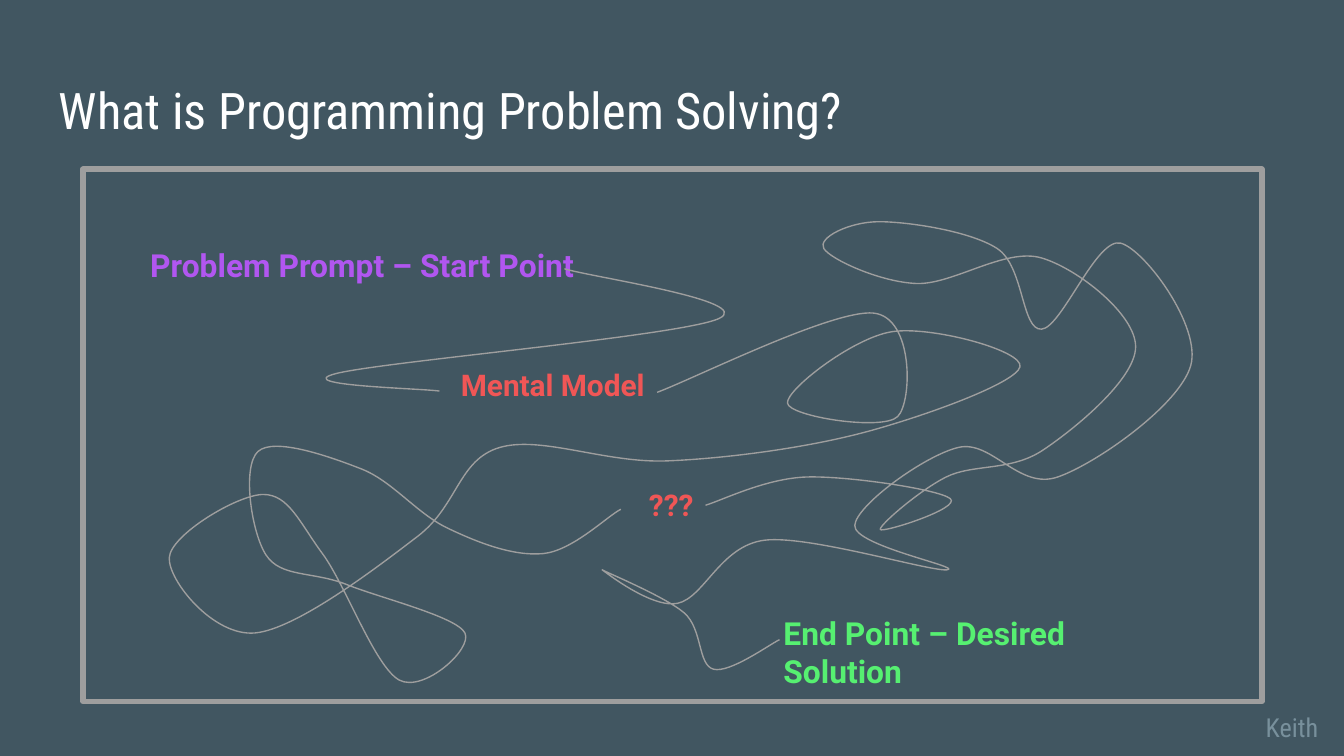
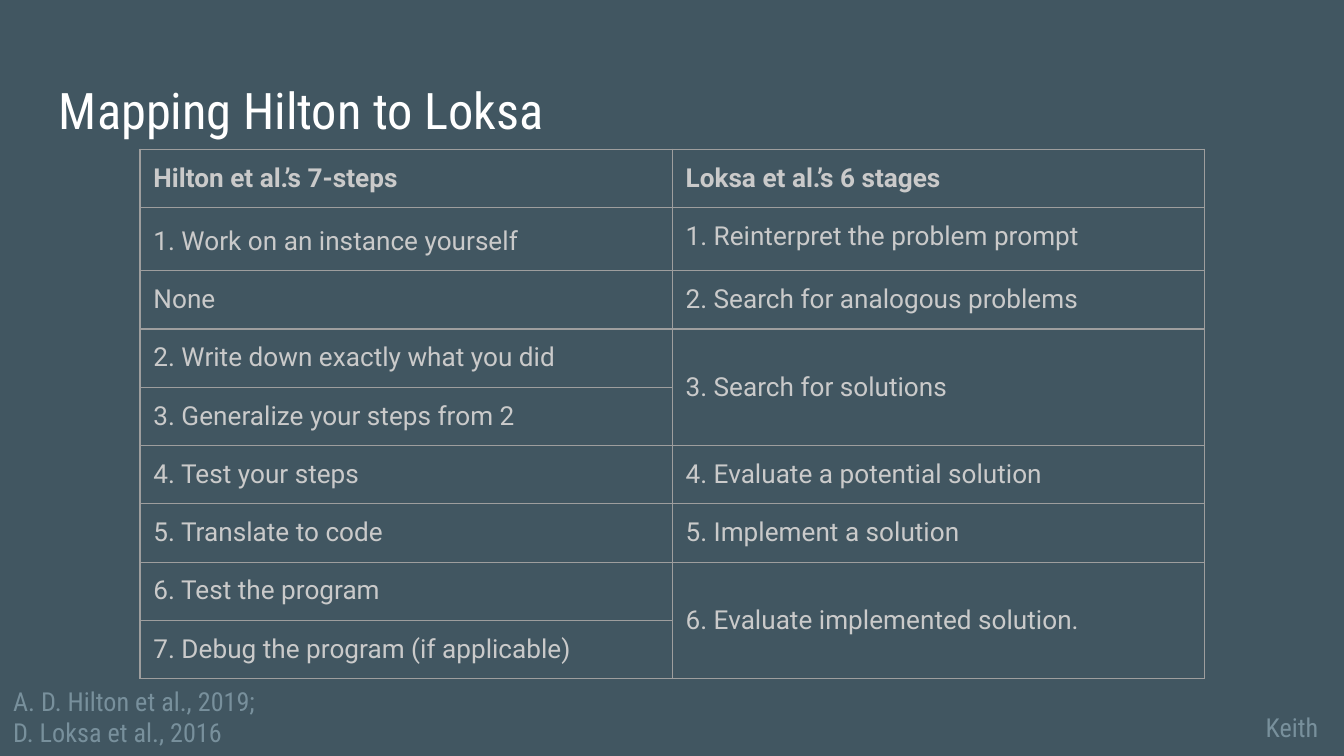
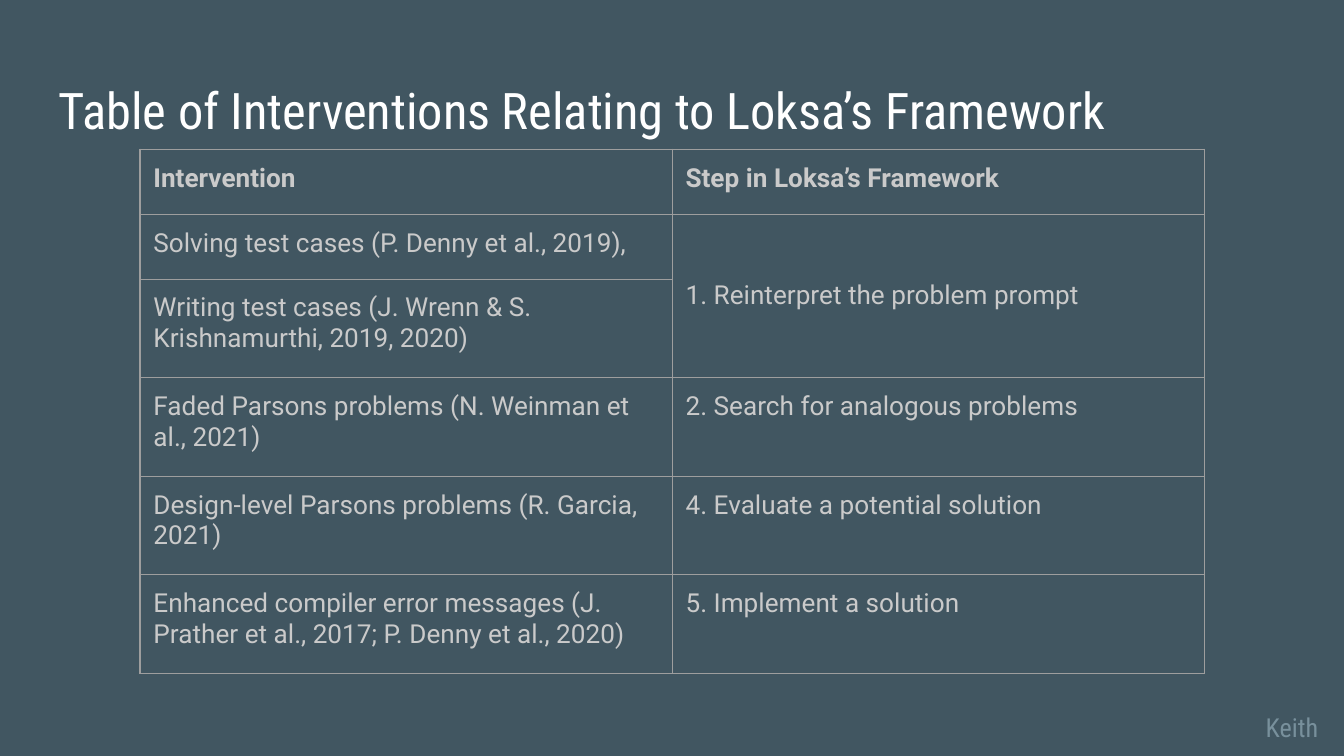
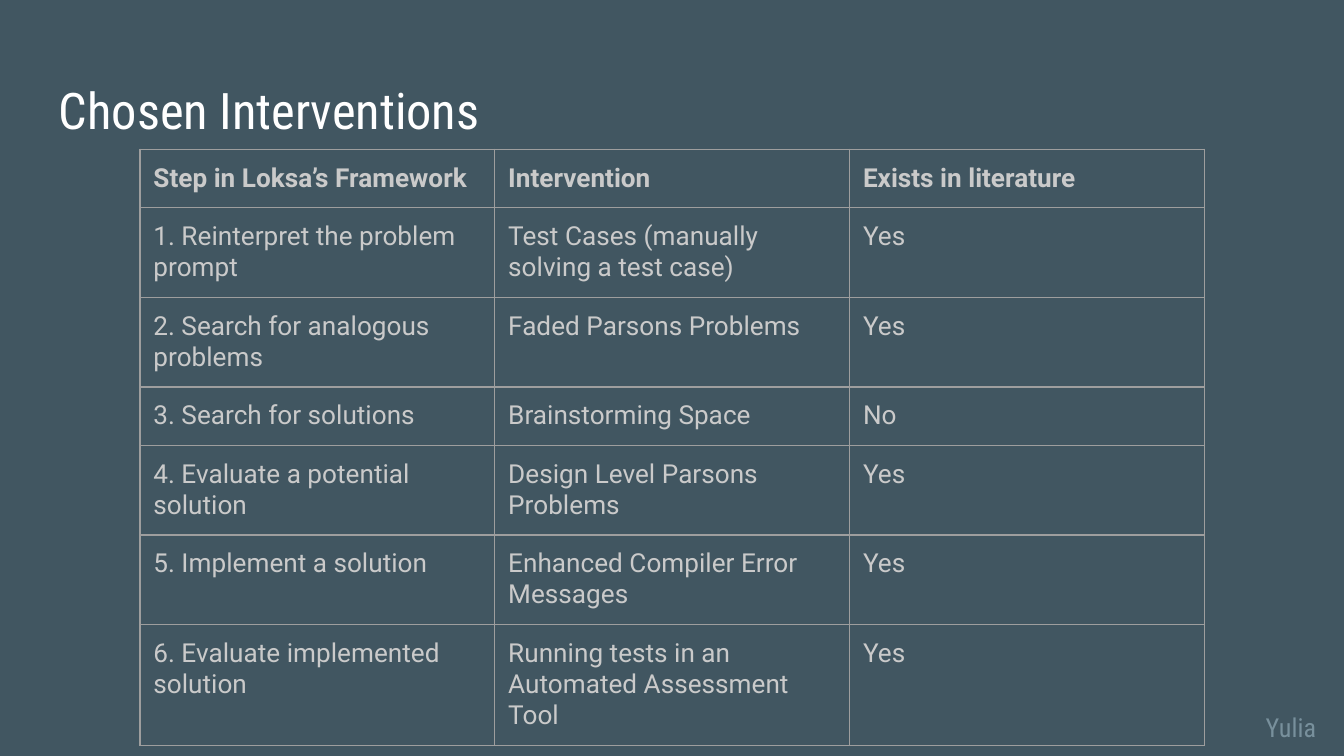
from dataclasses import dataclass
from typing import Optional

from lxml import etree
from pptx import Presentation
from pptx import util as u
from pptx.dml import color
from pptx.enum import shapes, text
from pptx.oxml import ns

BACKGROUND = "415661"
WHITE = "FFFFFF"
GREY = "9E9E9E"
CELL_TEXT = "CACACA"
MUTED = "78909C"
PURPLE = "B156F0"
RED = "F05656"
GREEN = "56F071"
BODY_FONT = "Roboto"
TITLE_FONT = "Roboto Condensed"
INSET = u.Pt(7.2)
THIN = u.Pt(0.75)
CURVE_UNIT = u.Pt(0.72)

Point = tuple[int, int]


@dataclass
class Label:
    words: str
    left: float
    top: float
    width: float
    height: float
    size: float
    color: str
    font: str = BODY_FONT
    bold: bool = False


@dataclass
class Grid:
    heights: list[float]
    rows: list[tuple[Optional[str], ...]]


LABELS = [
    Label("Problem Prompt – Start Point", 73.4, 124.6, 267, 35.3, 17, PURPLE, bold=True),
    Label("Mental Model", 239.8, 189.4, 152.6, 33.8, 16, RED, bold=True),
    Label("End Point – Desired Solution", 412.6, 321.8, 229, 35.3, 17, GREEN, bold=True),
    Label("???", 340.6, 253.4, 117.4, 33.8, 16, RED, bold=True),
]

PROMPT_TO_MODEL = [(420, 200), (535, 237), (250, 278), (327, 291)]
MODEL_TO_UNKNOWN = [
    (489, 292), (650, 233), (668, 310), (586, 300), (663, 247), (759, 273), (646, 321),
    (497, 343), (372, 333), (311, 399), (190, 471), (126, 415), (196, 368), (240, 412),
    (297, 506), (346, 471), (258, 435), (198, 413), (192, 336), (269, 349), (333, 393),
    (404, 412), (462, 379),
]
UNKNOWN_TO_END = [
    (525, 376), (600, 355), (707, 371), (655, 394), (704, 355), (776, 335), (845, 258),
    (775, 192), (682, 211), (613, 185), (654, 165), (742, 185), (775, 245), (834, 181),
    (886, 272), (787, 355), (713, 333), (636, 391), (705, 424), (569, 402), (504, 449),
    (448, 424), (509, 456), (531, 498), (580, 476),
]

MAPPING = Grid([30.2] * 9, [
    ("Hilton et al.’s 7-steps", "Loksa et al.’s 6 stages"),
    ("1. Work on an instance yourself", "1. Reinterpret the problem prompt"),
    ("None", "2. Search for analogous problems"),
    ("2. Write down exactly what you did", "3. Search for solutions"),
    ("3. Generalize your steps from 2", None),
    ("4. Test your steps", "4. Evaluate a potential solution"),
    ("5. Translate to code", "5. Implement a solution"),
    ("6. Test the program", "6. Evaluate implemented solution."),
    ("7. Debug the program (if applicable)", None),
])

INTERVENTIONS = Grid([34.8] * 2 + [52.8] * 4, [
    ("Intervention", "Step in Loksa’s Framework"),
    ("Solving test cases (P. Denny et al., 2019),", "1. Reinterpret the problem prompt"),
    ("Writing test cases (J. Wrenn & S. Krishnamurthi, 2019, 2020)", None),
    ("Faded Parsons problems (N. Weinman et al., 2021)", "2. Search for analogous problems"),
    ("Design-level Parsons problems (R. Garcia, 2021)", "4. Evaluate a potential solution"),
    ("Enhanced compiler error messages (J. Prather et al., 2017; P. Denny et al., 2020)",
     "5. Implement a solution"),
])

CHOSEN = Grid([30.2] * 7, [
    ("Step in Loksa’s Framework", "Intervention", "Exists in literature"),
    ("1. Reinterpret the problem prompt", "Test Cases (manually solving a test case)", "Yes"),
    ("2. Search for analogous problems", "Faded Parsons Problems", "Yes"),
    ("3. Search for solutions", "Brainstorming Space", "No"),
    ("4. Evaluate a potential solution", "Design Level Parsons Problems", "Yes"),
    ("5. Implement a solution", "Enhanced Compiler Error Messages", "Yes"),
    ("6. Evaluate implemented solution", "Running tests in an Automated Assessment Tool", "Yes"),
])


def rgb(value: str) -> color.RGBColor:
    return color.RGBColor.from_string(value)


def style_text(tf, size: float, value: str, font: str, bold: bool) -> None:
    for p in tf.paragraphs:
        for r in p.runs:
            r.font.size = u.Pt(size)
            r.font.name = font
            r.font.bold = bold
            r.font.color.rgb = rgb(value)


def add_label(slide, label: Label) -> None:
    box = slide.shapes.add_textbox(
        u.Pt(label.left), u.Pt(label.top), u.Pt(label.width), u.Pt(label.height))
    tf = box.text_frame
    tf.word_wrap = True
    tf.margin_left = tf.margin_right = tf.margin_top = tf.margin_bottom = INSET
    tf.text = label.words
    style_text(tf, label.size, label.color, label.font, label.bold)


def outline(sp, width: u.Length) -> None:
    sp.shadow.inherit = False
    sp.fill.background()
    sp.line.color.rgb = rgb(GREY)
    sp.line.width = width


def handle(knot: Point, toward: Point, away: Point) -> Point:
    x, y = (round(k + (t - a) / 6) for k, t, a in zip(knot, toward, away))
    return x, y


def add_curve(slide, knots: list[Point]) -> None:
    builder = slide.shapes.build_freeform(*knots[0], scale=CURVE_UNIT)
    builder.add_line_segments(knots[1:], close=False)
    sp = builder.convert_to_shape()
    outline(sp, THIN)
    left = min(x for x, _ in knots)
    top = min(y for _, y in knots)
    padded = [knots[0], *knots, knots[-1]]
    lines = list(sp._element.iter(ns.qn("a:lnTo")))
    for line, before, start, end, after in zip(
            lines, padded, padded[1:], padded[2:], padded[3:]):
        line.tag = ns.qn("a:cubicBezTo")
        controls = [handle(start, end, before), handle(end, start, after)]
        for index, (x, y) in enumerate(controls):
            pt = etree.Element(ns.qn("a:pt"), x=str(x - left), y=str(y - top))
            line.insert(index, pt)


def add_borders(cell) -> None:
    properties = cell._tc.get_or_add_tcPr()
    for index, side in enumerate(("a:lnL", "a:lnR", "a:lnT", "a:lnB")):
        line = etree.Element(ns.qn(side), w=str(int(THIN)))
        fill = etree.SubElement(line, ns.qn("a:solidFill"))
        etree.SubElement(fill, ns.qn("a:srgbClr"), val=GREY)
        properties.insert(index, line)


def add_grid(slide, grid: Grid):
    count = len(grid.rows[0])
    width = 570.2
    table = slide.shapes.add_table(
        len(grid.rows), count, u.Pt(75), u.Pt(80),
        u.Pt(width), u.Pt(sum(grid.heights))).table
    table.first_row = table.horz_banding = False
    for column in table.columns:
        column.width = u.Pt(width / count)
    for i, (row, height) in enumerate(zip(grid.rows, grid.heights)):
        table.rows[i].height = u.Pt(height)
        for j, words in enumerate(row):
            cell = table.cell(i, j)
            cell.margin_left = cell.margin_right = INSET
            cell.margin_top = cell.margin_bottom = INSET
            cell.fill.background()
            add_borders(cell)
            if words is None:
                merged = table.cell(i - 1, j)
                merged.merge(cell)
                merged.vertical_anchor = text.MSO_ANCHOR.MIDDLE
            else:
                cell.text_frame.text = words
                style_text(cell.text_frame, 14, CELL_TEXT, BODY_FONT, i == 0)
    return table


def add_slide(prs, title: str, speaker: str):
    slide = prs.slides.add_slide(prs.slide_layouts[6])
    slide.background.fill.solid()
    slide.background.fill.fore_color.rgb = rgb(BACKGROUND)
    add_label(slide, Label(title, 24.5, 35.3, 671, 45.4, 27, WHITE, TITLE_FONT))
    add_label(slide, Label(speaker, 671, 373.7, 49, 31.7, 14, MUTED, TITLE_FONT))
    return slide


def main() -> None:
    prs = Presentation()
    prs.slide_width, prs.slide_height = u.Pt(720), u.Pt(405)

    slide = add_slide(prs, "What is Programming Problem Solving?", "Keith")
    frame = slide.shapes.add_shape(
        shapes.MSO_SHAPE.RECTANGLE, u.Pt(44.6), u.Pt(90.7), u.Pt(631.4), u.Pt(285.1))
    outline(frame, u.Pt(3))
    for label in LABELS:
        add_label(slide, label)
    for knots in (PROMPT_TO_MODEL, MODEL_TO_UNKNOWN, UNKNOWN_TO_END):
        add_curve(slide, knots)

    slide = add_slide(prs, "Mapping Hilton to Loksa", "Keith")
    table = add_grid(slide, MAPPING)
    first_step = table.cell(1, 0).text_frame.paragraphs[0]
    first_step.line_spacing = 1.15
    first_step.space_after = u.Pt(12)
    add_label(slide, Label("A. D. Hilton et al., 2019;\nD. Loksa et al., 2016",
                           0, 360, 168.5, 45.4, 14, MUTED, TITLE_FONT))

    slide = add_slide(prs, "Table of Interventions Relating to Loksa’s Framework", "Keith")
    add_grid(slide, INTERVENTIONS)

    slide = add_slide(prs, "Chosen Interventions", "Yulia")
    add_grid(slide, CHOSEN)

    prs.save("out.pptx")


if __name__ == "__main__":
    main()
